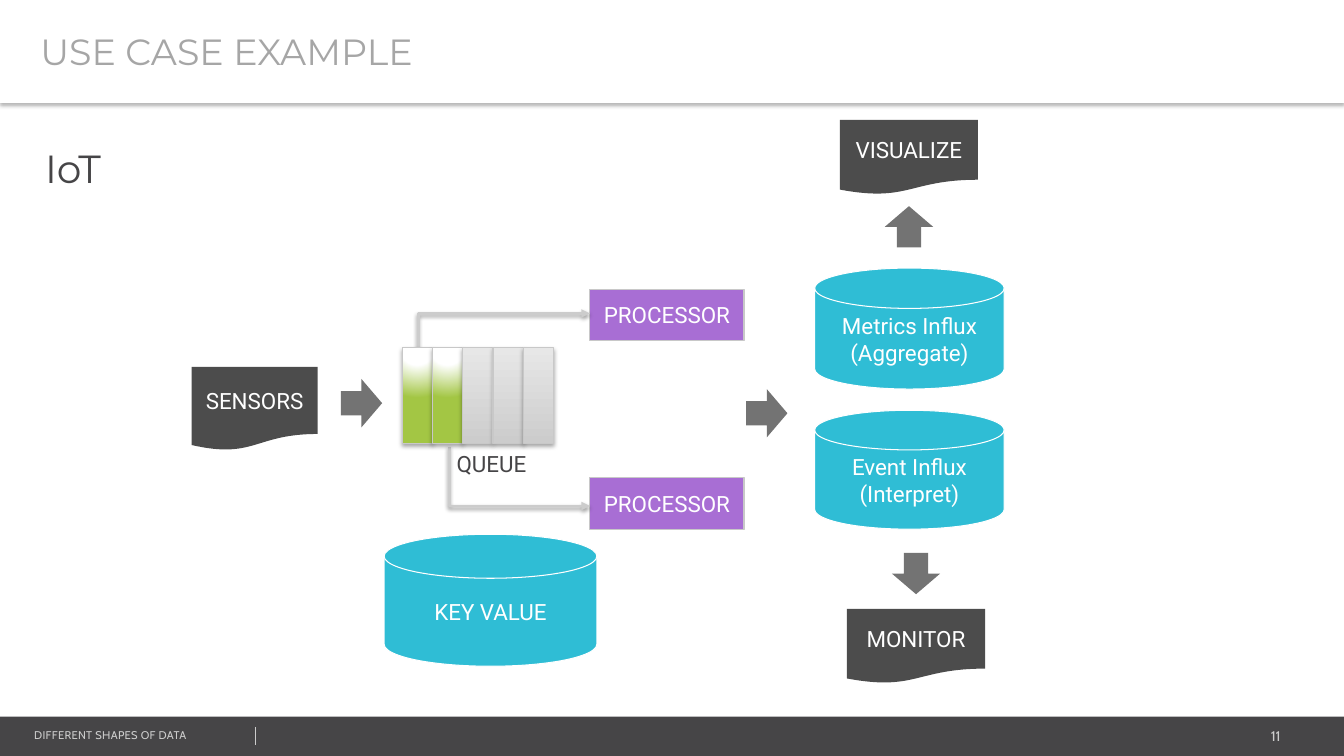
from collections import namedtuple

from lxml import etree
from pptx import Presentation
from pptx.dml.color import RGBColor
from pptx.enum.shapes import MSO_CONNECTOR as Link, MSO_SHAPE as Preset
from pptx.enum.text import MSO_ANCHOR as Anchor, MSO_AUTO_SIZE as AutoSize, PP_ALIGN as Align
from pptx.oxml import parse_xml
from pptx.oxml.ns import nsdecls, qn
from pptx.util import Inches, Pt

WHITE = RGBColor(0xFF, 0xFF, 0xFF)
CHARCOAL = RGBColor(0x46, 0x45, 0x47)
DOCUMENT_GRAY = RGBColor(0x4C, 0x4C, 0x4C)
ARROW_GRAY = RGBColor(0x73, 0x73, 0x73)
TITLE_GRAY = RGBColor(0xA6, 0xA6, 0xA6)
LINE_GRAY = RGBColor(0xCC, 0xCC, 0xCC)
BORDER_GRAY = RGBColor(0xC8, 0xC8, 0xC8)
LIGHT_GRAY = RGBColor(0xE7, 0xE7, 0xE7)
CYAN = RGBColor(0x2F, 0xBD, 0xD5)
PURPLE = RGBColor(0xA8, 0x6E, 0xD4)
GREEN = RGBColor(0xA3, 0xC6, 0x44)

Box = namedtuple("Box", "left top width height")
FULL_CELL = ([(0, WHITE), (35, WHITE), (100, GREEN)],
             '<a:path path="circle"><a:fillToRect l="50000" t="-80000" r="50000" b="180000"/></a:path>')
EMPTY_CELL = ([(0, LINE_GRAY), (100, LIGHT_GRAY)], '<a:lin ang="16200000" scaled="0"/>')


def within(box, left, top, width, height):
    """Turn a place relative to a box into a place on the slide."""
    return Box(box.left + left, box.top + top, width, height)


def write(shape, text, size, font, color, align=Align.LEFT):
    shape.text_frame.text = text
    for paragraph in shape.text_frame.paragraphs:
        paragraph.alignment = align
        paragraph.font.size = Pt(size)
        paragraph.font.name = font
        paragraph.font.color.rgb = color


def add_block(slide, preset, box, fill, border=None, label=""):
    block = slide.shapes.add_shape(preset, *map(Inches, box))
    block.shadow.inherit = False
    block.fill.solid()
    block.fill.fore_color.rgb = fill
    if border is None:
        block.line.fill.background()
    else:
        block.line.color.rgb = border
        block.line.width = Pt(0.75)
    if label:
        block.text_frame.vertical_anchor = Anchor.MIDDLE
        write(block, label, 16, "Roboto", WHITE, Align.CENTER)
    return block


def add_text(slide, box, text, size, font, color, align=Align.LEFT, wrap=True):
    caption = slide.shapes.add_textbox(*map(Inches, box))
    caption.text_frame.word_wrap = wrap
    caption.text_frame.auto_size = AutoSize.SHAPE_TO_FIT_TEXT
    write(caption, text, size, font, color, align)
    return caption


def add_arrow(slide, box, rotation=0):
    arrow = add_block(slide, Preset.RIGHT_ARROW, box, ARROW_GRAY)
    arrow.rotation = rotation


def add_shadow(shape, distance, opacity):
    properties = shape._element.spPr
    effects = properties.find(qn("a:effectLst"))
    if effects is None:
        effects = etree.SubElement(properties, qn("a:effectLst"))
    effects.append(parse_xml(
        f'<a:outerShdw {nsdecls("a")} blurRad="{Pt(3.1)}" dist="{Pt(distance)}" dir="5400000" '
        f'rotWithShape="0"><a:srgbClr val="000000"><a:alpha val="{opacity * 1000}"/>'
        '</a:srgbClr></a:outerShdw>'))


def set_gradient(shape, stops, direction):
    shape.fill.gradient()
    properties = shape._element.spPr
    stop_list = "".join(f'<a:gs pos="{place * 1000}"><a:srgbClr val="{color}"/></a:gs>'
                        for place, color in stops)
    properties.replace(properties.find(qn("a:gradFill")), parse_xml(
        f'<a:gradFill {nsdecls("a")} rotWithShape="1"><a:gsLst>{stop_list}</a:gsLst>'
        f'{direction}</a:gradFill>'))


def add_bent_arrow(slide, start, end):
    """Leave start vertically, turn once, and reach end horizontally."""
    (x1, y1), (x2, y2) = start, end
    upward = y2 < y1
    middle_x, middle_y = (x1 + x2) / 2, (y1 + y2) / 2
    half_width, half_height = abs(y2 - y1) / 2, (x2 - x1) / 2
    # The one-bend preset is turned a quarter, so its width and height swap.
    lift = half_height if upward else -half_height
    arrow = slide.shapes.add_connector(
        Link.ELBOW, Inches(middle_x + half_width), Inches(middle_y + lift),
        Inches(middle_x - half_width), Inches(middle_y - lift))
    arrow.line.color.rgb = LINE_GRAY
    arrow.line.width = Pt(2)
    properties = arrow._element.spPr
    properties.find(qn("a:prstGeom")).set("prst", "bentConnector2")
    properties.find(qn("a:xfrm")).set("rot", str((90 if upward else 270) * 60000))
    etree.SubElement(properties.find(qn("a:ln")), qn("a:tailEnd"), type="triangle")
    add_shadow(arrow, 1.6, 38)


def draw_footer(slide, box):
    add_block(slide, Preset.RECTANGLE, box, CHARCOAL)
    add_text(slide, within(box, 10.62, 0.06, 2.18, 0.27), "11", 10, "Cabin", LINE_GRAY, Align.RIGHT)
    deck_name = add_text(slide, within(box, 0.24, 0.07, 3.38, 0.24),
                         "DIFFERENT SHAPES OF DATA", 8, "Cabin", LINE_GRAY)
    deck_name.text_frame.paragraphs[0].runs[0].font._element.set("spc", "20")
    x = Inches(box.left + 2.53)
    divider = slide.shapes.add_connector(
        Link.STRAIGHT, x, Inches(box.top + 0.1), x, Inches(box.top + 0.28))
    divider.line.color.rgb = LINE_GRAY
    divider.line.width = Pt(0.25)
    etree.SubElement(divider._element.spPr, qn("a:effectLst"))


def draw_title(slide, box):
    title = add_block(slide, Preset.RECTANGLE, box, WHITE)
    title.text_frame.margin_left = Inches(0.4)
    title.text_frame.vertical_anchor = Anchor.MIDDLE
    write(title, "USE CASE EXAMPLE", 26, "Montserrat", TITLE_GRAY)
    add_shadow(title, 2, 30)


def draw_sensors(slide, box):
    add_block(slide, Preset.FLOWCHART_DOCUMENT, within(box, 0, 0, 1.25, 0.83),
              DOCUMENT_GRAY, label="SENSORS")
    add_arrow(slide, within(box, 1.48, 0.12, 0.41, 0.48))


def draw_processing(slide, box):
    """Queue feeding two processors, above the key-value store."""
    add_block(slide, Preset.FLOWCHART_MAGNETIC_DISK, within(box, 0, 2.43, 2.11, 1.31),
              CYAN, WHITE, "KEY VALUE")
    queue = within(box, 0.18, 0.58, 1.5, 0.95)
    processor_left = box.left + 2.04
    for top in (0, 1.87):
        add_block(slide, Preset.RECTANGLE, within(box, 2.04, top, 1.53, 0.51),
                  PURPLE, BORDER_GRAY, "PROCESSOR")
    add_bent_arrow(slide, (queue.left + 0.16, queue.top + 0.13), (processor_left, box.top + 0.24))
    add_bent_arrow(slide, (queue.left + 0.47, queue.top + 0.98), (processor_left, box.top + 2.15))
    cell_width = queue.width / 5
    for index, filling in enumerate([FULL_CELL] * 2 + [EMPTY_CELL] * 3):
        cell = add_block(slide, Preset.RECTANGLE,
                         within(queue, index * cell_width, 0, cell_width, queue.height),
                         WHITE, BORDER_GRAY)
        set_gradient(cell, *filling)
        add_shadow(cell, 1.8, 35)
    add_text(slide, within(box, 0.62, 1.55, 0.93, 0.37), "QUEUE", 16, "Roboto", CHARCOAL, wrap=False)
    add_arrow(slide, within(box, 3.59, 0.99, 0.41, 0.48))


def draw_storage(slide, box):
    """Two databases with their outputs above and below."""
    databases = [("Metrics Influx\n(Aggregate)", 1.47, 1.2), ("Event Influx\n(Interpret)", 2.88, 1.18)]
    for label, top, height in databases:
        add_block(slide, Preset.FLOWCHART_MAGNETIC_DISK, within(box, 0, top, box.width, height),
                  CYAN, WHITE, label)
    outputs = [("VISUALIZE", 0.25, 0, 0.82, 270), ("MONITOR", 0.32, 4.85, 4.26, 90)]
    for label, left, top, arrow_top, rotation in outputs:
        add_block(slide, Preset.FLOWCHART_DOCUMENT, within(box, left, top, 1.37, 0.74),
                  DOCUMENT_GRAY, label=label)
        add_arrow(slide, within(box, left + 0.48, arrow_top, 0.41, 0.48), rotation)


def main():
    deck = Presentation()
    deck.slide_width, deck.slide_height = Inches(13.33), Inches(7.5)
    slide = deck.slides.add_slide(deck.slide_layouts[6])
    draw_footer(slide, Box(0, 7.11, 13.33, 0.39))
    draw_title(slide, Box(0, 0, 13.33, 1.02))
    add_text(slide, Box(0.35, 1.38, 0.9, 0.57), "IoT", 28, "Montserrat", CHARCOAL, wrap=False)
    draw_sensors(slide, Box(1.9, 3.64, 1.89, 0.83))
    draw_processing(slide, Box(3.81, 2.87, 4, 3.74))
    draw_storage(slide, Box(8.08, 1.19, 1.88, 5.59))
    deck.save("out.pptx")


if __name__ == "__main__":
    main()
